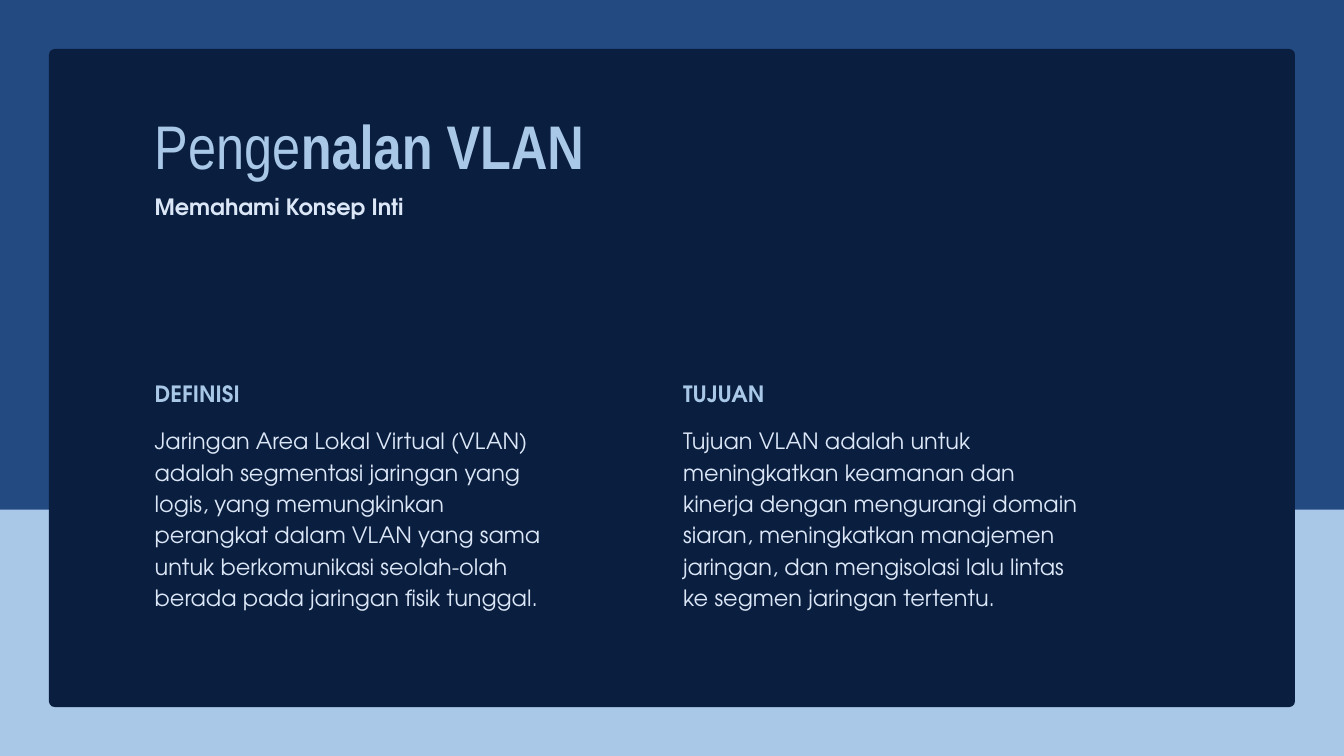
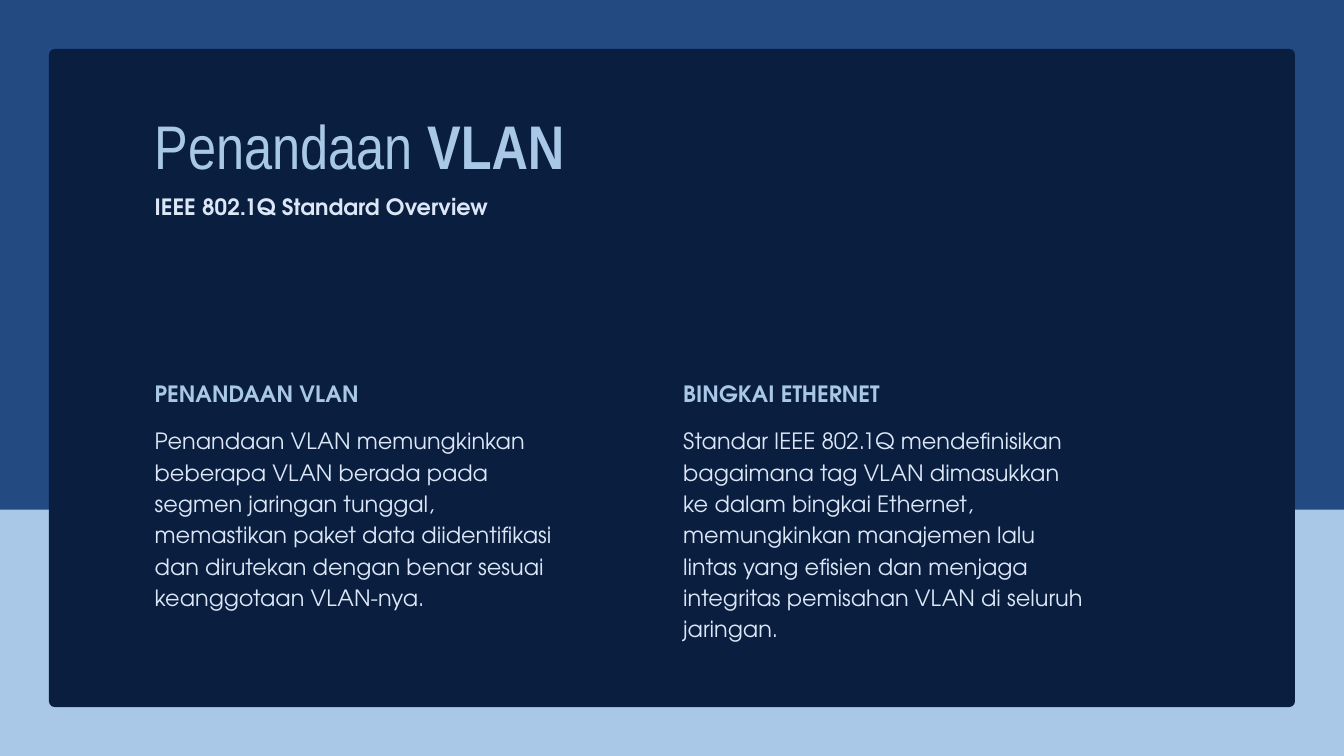
from lxml import etree
from pptx import Presentation
from pptx.dml.color import RGBColor
from pptx.enum.shapes import MSO_SHAPE
from pptx.enum.text import MSO_ANCHOR, MSO_AUTO_SIZE, PP_ALIGN
from pptx.oxml.ns import qn
from pptx.util import Pt

RECTANGLE, ROUNDED = MSO_SHAPE.RECTANGLE, MSO_SHAPE.ROUNDED_RECTANGLE
LEFT, TOP, FIXED = PP_ALIGN.LEFT, MSO_ANCHOR.TOP, MSO_AUTO_SIZE.NONE

# Colours and fonts
BLUE = RGBColor(0x24, 0x4A, 0x82)
SKY = RGBColor(0xA9, 0xC8, 0xE8)
NAVY = RGBColor(0x0A, 0x1E, 0x3F)
PALE = RGBColor(0xDB, 0xE6, 0xF6)
TITLE_FONT = "Arial Narrow"
TEXT_FONT = "TeX Gyre Adventor"

# Layout in px, 96 to the inch
PX = 9525
WIDTH, HEIGHT = 1920, 1080
BAND_TOP = 728
MARGIN, RADIUS = 70, 8
TEXT_LEFT, TITLE_WIDTH = 221, 1327
COLUMN_WIDTH, COLUMN_STEP = 572, 755
COMPARISON_LAYOUT = 4


def write(box, text, *, font=TEXT_FONT, size=24, line=33.6, color=PALE, bold=False, bold_tail=""):
    """Fill a box with one paragraph, which may end in a bold span."""
    frame = box.text_frame
    frame.auto_size = FIXED
    frame.word_wrap = True
    frame.vertical_anchor = TOP
    frame.margin_left = frame.margin_right = frame.margin_top = frame.margin_bottom = 0
    para = frame.paragraphs[0]
    para.alignment = LEFT
    para.line_spacing = Pt(line)
    para.space_before = para.space_after = Pt(0)
    # No bullet and no hanging indent
    properties = para._p.get_or_add_pPr()
    properties.set("marL", "0")
    properties.set("indent", "0")
    etree.SubElement(properties, qn("a:buNone"))
    for words, heavy in ((text, bold), (bold_tail, True)):
        if words:
            span = para.add_run()
            span.text = words
            span.font.name = font
            span.font.size = Pt(size)
            span.font.bold = heavy
            span.font.color.rgb = color


class Deck:
    def __init__(self):
        self.deck = Presentation()
        self.deck.slide_width = WIDTH * PX
        self.deck.slide_height = HEIGHT * PX
        self.page = None

    def new_page(self):
        self.page = self.deck.slides.add_slide(self.deck.slide_layouts[COMPARISON_LAYOUT])
        fill = self.page.background.fill
        fill.solid()
        fill.fore_color.rgb = BLUE
        # Lower band and panel, behind the placeholders
        band = self.block(RECTANGLE, 0, BAND_TOP, WIDTH, HEIGHT - BAND_TOP, SKY)
        panel_height = HEIGHT - 2 * MARGIN
        panel = self.block(ROUNDED, MARGIN, MARGIN, WIDTH - 2 * MARGIN, panel_height, NAVY)
        panel.adjustments[0] = RADIUS / panel_height
        tree = self.page.shapes.element
        for place, shape in enumerate((band, panel), start=2):
            tree.insert(place, shape.element)

    def block(self, kind, left, top, width, height, color):
        shape = self.page.shapes.add_shape(kind, left * PX, top * PX, width * PX, height * PX)
        shape.shadow.inherit = False
        shape.fill.solid()
        shape.fill.fore_color.rgb = color
        shape.line.fill.background()
        return shape

    def placeholder(self, index, left, top, width, height, text, **style):
        box = self.page.placeholders[index]
        box.left, box.top = left * PX, top * PX
        box.width, box.height = width * PX, height * PX
        write(box, text, **style)

    def title(self, light, heavy):
        self.placeholder(0, TEXT_LEFT, 154, TITLE_WIDTH, 115, light, bold_tail=heavy,
                         font=TITLE_FONT, size=66, line=79.2, color=SKY)

    def subtitle(self, text):
        box = self.page.shapes.add_textbox(TEXT_LEFT * PX, 270 * PX, TITLE_WIDTH * PX, 42 * PX)
        write(box, text, bold=True)

    def column(self, number, heading, body):
        left = TEXT_LEFT + number * COLUMN_STEP
        index = 1 + 2 * number
        self.placeholder(index, left, 536, COLUMN_WIDTH, 42, heading, color=SKY, bold=True)
        self.placeholder(index + 1, left, 604, COLUMN_WIDTH, 262, body)


# Title (light, bold), subtitle, columns (heading, body)
PAGES = [
    (("Penge", "nalan VLAN"), "Memahami Konsep Inti", [
        ("DEFINISI",
         "Jaringan Area Lokal Virtual (VLAN) adalah segmentasi jaringan yang logis, yang "
         "memungkinkan perangkat dalam VLAN yang sama untuk berkomunikasi seolah-olah "
         "berada pada jaringan fisik tunggal."),
        ("TUJUAN",
         "Tujuan VLAN adalah untuk meningkatkan keamanan dan kinerja dengan mengurangi "
         "domain siaran, meningkatkan manajemen jaringan, dan mengisolasi lalu lintas ke "
         "segmen jaringan tertentu."),
    ]),
    (("Penandaan ", "VLAN"), "IEEE 802.1Q Standard Overview", [
        ("PENANDAAN VLAN",
         "Penandaan VLAN memungkinkan beberapa VLAN berada pada segmen jaringan tunggal, "
         "memastikan paket data diidentifikasi dan dirutekan dengan benar sesuai "
         "keanggotaan VLAN-nya."),
        ("BINGKAI ETHERNET",
         "Standar IEEE 802.1Q mendefinisikan bagaimana tag VLAN dimasukkan ke dalam bingkai "
         "Ethernet, memungkinkan manajemen lalu lintas yang efisien dan menjaga integritas "
         "pemisahan VLAN di seluruh jaringan."),
    ]),
]


def main():
    slides = Deck()
    for title, subtitle, columns in PAGES:
        slides.new_page()
        slides.title(*title)
        slides.subtitle(subtitle)
        for number, (heading, body) in enumerate(columns):
            slides.column(number, heading, body)
    slides.deck.save("out.pptx")


if __name__ == "__main__":
    main()
